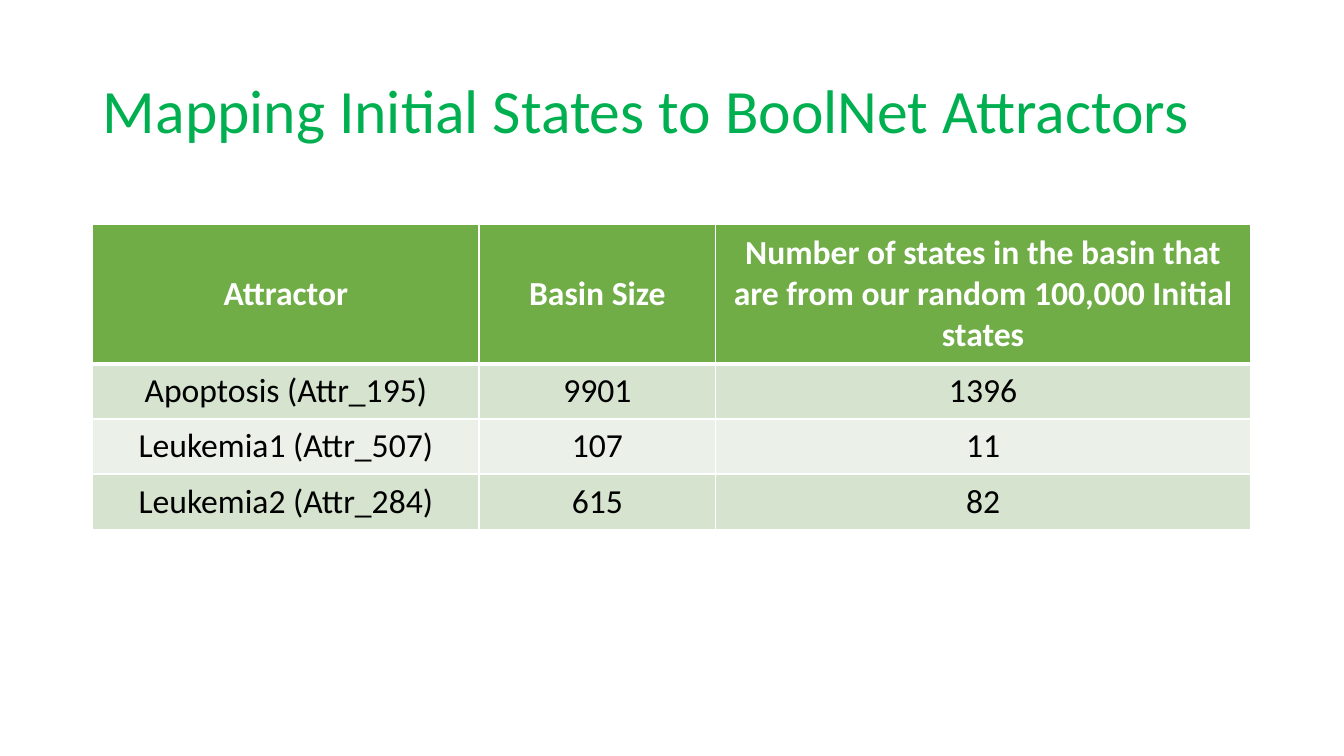
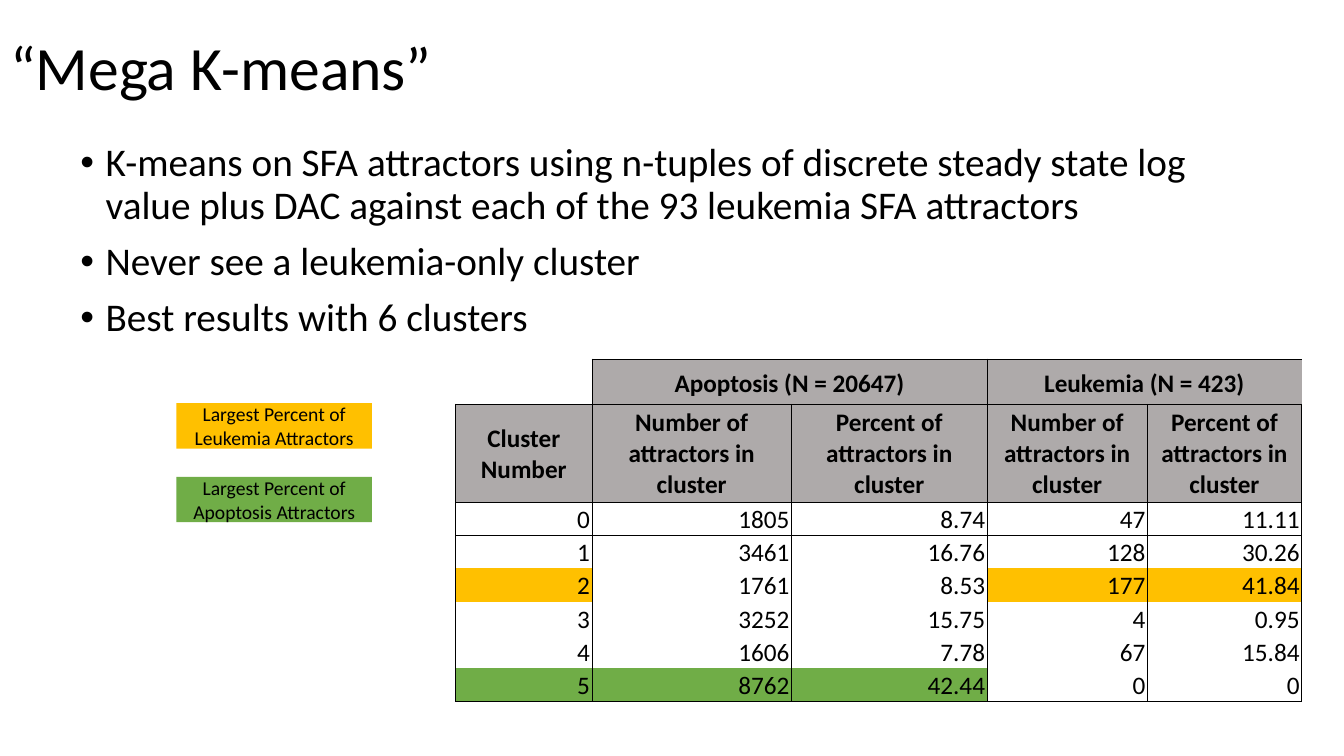
from dataclasses import dataclass

from lxml.etree import SubElement
from pptx import Presentation
from pptx.dml.color import RGBColor
from pptx.enum.shapes import MSO_SHAPE
from pptx.enum.text import MSO_ANCHOR, MSO_AUTO_SIZE, PP_ALIGN
from pptx.oxml.ns import qn
from pptx.slide import Slide
from pptx.table import Table, _Cell
from pptx.text.text import _Paragraph
from pptx.util import Inches, Pt

FONT = "Calibri"
BLACK, WHITE = "000000", "FFFFFF"
TITLE_GREEN, GREEN, AMBER, GREY = "00B050", "70AD47", "FFC000", "AEAAAA"
BANDS = ("D5E3CF", "EBF1E9")
NO_TABLE_STYLE = "{2D5ABB26-0587-4C30-8999-92F81FD0307C}"

BASIN_ROWS = (
    ("Attractor", "Basin Size", "Number of states in the basin that are from our random 100,000 Initial states"),
    ("Apoptosis (Attr_195)", "9901", "1396"),
    ("Leukemia1 (Attr_507)", "107", "11"),
    ("Leukemia2 (Attr_284)", "615", "82"),
)
BULLETS = (
    "K-means on SFA attractors using n-tuples of discrete steady state log value plus DAC "
    "against each of the 93 leukemia SFA attractors",
    "Never see a leukemia-only cluster",
    "Best results with 6 clusters",
)
MEASURES = ("Number of attractors in cluster", "Percent of attractors in cluster")
CLUSTER_ROWS = (
    ("", "Apoptosis (N = 20647)", "", "Leukemia (N = 423)", ""),
    ("Cluster Number", *MEASURES, *MEASURES),
    ("0", "1805", "8.74", "47", "11.11"),
    ("1", "3461", "16.76", "128", "30.26"),
    ("2", "1761", "8.53", "177", "41.84"),
    ("3", "3252", "15.75", "4", "0.95"),
    ("4", "1606", "7.78", "67", "15.84"),
    ("5", "8762", "42.44", "0", "0"),
)
HIGHLIGHTS = {4: (AMBER, (0, 3, 4)), 7: (GREEN, (0, 1, 2))}


@dataclass(frozen=True)
class TextStyle:
    """Font size, colour, weight and alignment of a paragraph."""

    size: float
    color: str = BLACK
    bold: bool = False
    align: PP_ALIGN = PP_ALIGN.CENTER


@dataclass(frozen=True)
class CellStyle:
    """Text, anchor, margins (left, top, right, bottom), fill and borders of a table cell."""

    text: TextStyle
    anchor: MSO_ANCHOR
    margins: tuple[float, float, float, float]
    fill: str | None
    line_color: str
    borders: dict[str, float]


@dataclass(frozen=True)
class LegendKey:
    """A coloured label explaining a highlight in the cluster table."""

    text: str
    top: float
    fill: str


LEGEND = (
    LegendKey("Largest Percent of Leukemia Attractors", 4, AMBER),
    LegendKey("Largest Percent of Apoptosis Attractors", 4.73, GREEN),
)


def rgb(color: str) -> RGBColor:
    """Turn a hex string into a colour."""
    return RGBColor.from_string(color)


def add_text(paragraph: _Paragraph, text: str, style: TextStyle) -> None:
    """Add one styled run to a paragraph."""
    paragraph.alignment = style.align
    run = paragraph.add_run()
    run.text = text
    run.font.name = FONT
    run.font.size = Pt(style.size)
    run.font.bold = style.bold
    run.font.color.rgb = rgb(style.color)


def add_titled_slide(presentation: Presentation, title: str, left: float, top: float, color: str) -> Slide:
    """Add a title-only slide and place its title."""
    slide = presentation.slides.add_slide(presentation.slide_layouts[5])
    shape = slide.shapes.title
    shape.left, shape.top = Inches(left), Inches(top)
    shape.width, shape.height = Inches(11.5), Inches(1.45)
    frame = shape.text_frame
    frame.auto_size = MSO_AUTO_SIZE.NONE
    frame.word_wrap = True
    frame.vertical_anchor = MSO_ANCHOR.MIDDLE
    paragraph = frame.paragraphs[0]
    paragraph.line_spacing = 0.9
    add_text(paragraph, title, TextStyle(44, color, align=PP_ALIGN.LEFT))
    return slide


def add_plain_table(slide: Slide, left: float, top: float, widths: list[float], heights: list[float]) -> Table:
    """Add a table without a built-in style, sized by its columns and rows."""
    frame = slide.shapes.add_table(
        len(heights), len(widths), Inches(left), Inches(top), Inches(sum(widths)), Inches(sum(heights))
    )
    next(frame._element.iter(qn("a:tableStyleId"))).text = NO_TABLE_STYLE
    table = frame.table
    table.first_row = table.horz_banding = False
    for column, width in zip(table.columns, widths):
        column.width = Inches(width)
    for row, height in zip(table.rows, heights):
        row.height = Inches(height)
    return table


def format_cell(cell: _Cell, text: str, style: CellStyle) -> None:
    """Write a cell's text and apply its borders, fill and margins."""
    properties = cell._tc.get_or_add_tcPr()
    for side in "LRTB":
        if side in style.borders:
            line = SubElement(properties, qn(f"a:ln{side}"), w=str(Pt(style.borders[side])))
            SubElement(SubElement(line, qn("a:solidFill")), qn("a:srgbClr"), val=style.line_color)
    if style.fill:
        cell.fill.solid()
        cell.fill.fore_color.rgb = rgb(style.fill)
    else:
        cell.fill.background()
    cell.vertical_anchor = style.anchor
    cell.margin_left, cell.margin_top, cell.margin_right, cell.margin_bottom = map(Inches, style.margins)
    if text:
        add_text(cell.text_frame.paragraphs[0], text, style.text)


def add_basin_table(slide: Slide) -> None:
    """Add the banded table of basin sizes."""
    table = add_plain_table(slide, 0.92, 2.23, [3.83, 2.35, 5.3], [1.38, 0.53, 0.53, 0.53])
    for row, values in enumerate(BASIN_ROWS):
        header = row == 0
        style = CellStyle(
            TextStyle(24, WHITE if header else BLACK, header),
            MSO_ANCHOR.MIDDLE,
            (0.13, 0.07, 0.13, 0.07),
            GREEN if header else BANDS[(row - 1) % 2],
            WHITE,
            {"L": 1, "R": 1, "T": 3 if row == 1 else 1, "B": 3 if header else 1},
        )
        for column, value in enumerate(values):
            format_cell(table.cell(row, column), value, style)


def cluster_borders(row: int, column: int) -> dict[str, float]:
    """Outline each header block and each column group."""
    if (row, column) == (0, 0):
        sides = "RB"
    else:
        edges = {"L": column in (0, 1, 3), "R": column in (0, 2, 4), "T": row < 3, "B": row in (0, 1, 7)}
        sides = "".join(side for side, drawn in edges.items() if drawn)
    return dict.fromkeys(sides, 0.5)


def cluster_fill(row: int, column: int) -> str | None:
    """Give the header or highlight colour of a cluster cell."""
    if row < 2:
        return GREY if row or column else None
    color, columns = HIGHLIGHTS.get(row, (None, ()))
    return color if column in columns else None


def add_cluster_table(slide: Slide) -> None:
    """Add the table of attractors per cluster."""
    table = add_plain_table(slide, 4.52, 3.56, [1.35, 1.98, 1.94, 1.59, 1.53], [0.45, 0.97] + [0.33] * 6)
    for row, values in enumerate(CLUSTER_ROWS):
        header = row < 2
        text_style = TextStyle(18, bold=header, align=PP_ALIGN.CENTER if header else PP_ALIGN.RIGHT)
        for column, value in enumerate(values):
            style = CellStyle(
                text_style,
                MSO_ANCHOR.MIDDLE if row == 1 else MSO_ANCHOR.BOTTOM,
                (0.02, 0.02, 0.02, 0) if row else (0.1, 0.05, 0.1, 0.05),
                cluster_fill(row, column),
                BLACK,
                cluster_borders(row, column),
            )
            format_cell(table.cell(row, column), value, style)
    for column in (1, 3):
        table.cell(0, column).merge(table.cell(0, column + 1))


def add_bullets(slide: Slide) -> None:
    """Add the bulleted findings."""
    frame = slide.shapes.add_textbox(Inches(0.7), Inches(1.37), Inches(11.5), Inches(4.76)).text_frame
    frame.word_wrap = True
    for index, text in enumerate(BULLETS):
        paragraph = frame.add_paragraph() if index else frame.paragraphs[0]
        paragraph.line_spacing = 0.9
        paragraph.space_before = Pt(10 if index else 0)
        properties = paragraph._p.get_or_add_pPr()
        properties.set("marL", str(Inches(0.25)))
        properties.set("indent", str(Inches(-0.25)))
        SubElement(properties, qn("a:buFont"), typeface="Arial")
        SubElement(properties, qn("a:buChar"), char="•")
        add_text(paragraph, text, TextStyle(28, align=PP_ALIGN.LEFT))


def add_legend_key(slide: Slide, key: LegendKey) -> None:
    """Add one coloured legend label."""
    shape = slide.shapes.add_shape(
        MSO_SHAPE.RECTANGLE, Inches(1.75), Inches(key.top), Inches(1.94), Inches(0.45)
    )
    shape.shadow.inherit = False
    shape.fill.solid()
    shape.fill.fore_color.rgb = rgb(key.fill)
    shape.line.fill.background()
    shape.text_frame.word_wrap = True
    shape.text_frame.vertical_anchor = MSO_ANCHOR.MIDDLE
    add_text(shape.text_frame.paragraphs[0], key.text, TextStyle(14))


def main() -> None:
    """Build and save the presentation."""
    presentation = Presentation()
    presentation.slide_width, presentation.slide_height = Inches(13.33), Inches(7.5)

    basin_slide = add_titled_slide(
        presentation, "Mapping Initial States to BoolNet Attractors", 0.92, 0.4, TITLE_GREEN
    )
    add_basin_table(basin_slide)

    cluster_slide = add_titled_slide(presentation, "“Mega K-means”", 0, -0.02, BLACK)
    add_bullets(cluster_slide)
    for key in LEGEND:
        add_legend_key(cluster_slide, key)
    add_cluster_table(cluster_slide)

    presentation.save("out.pptx")


if __name__ == "__main__":
    main()
